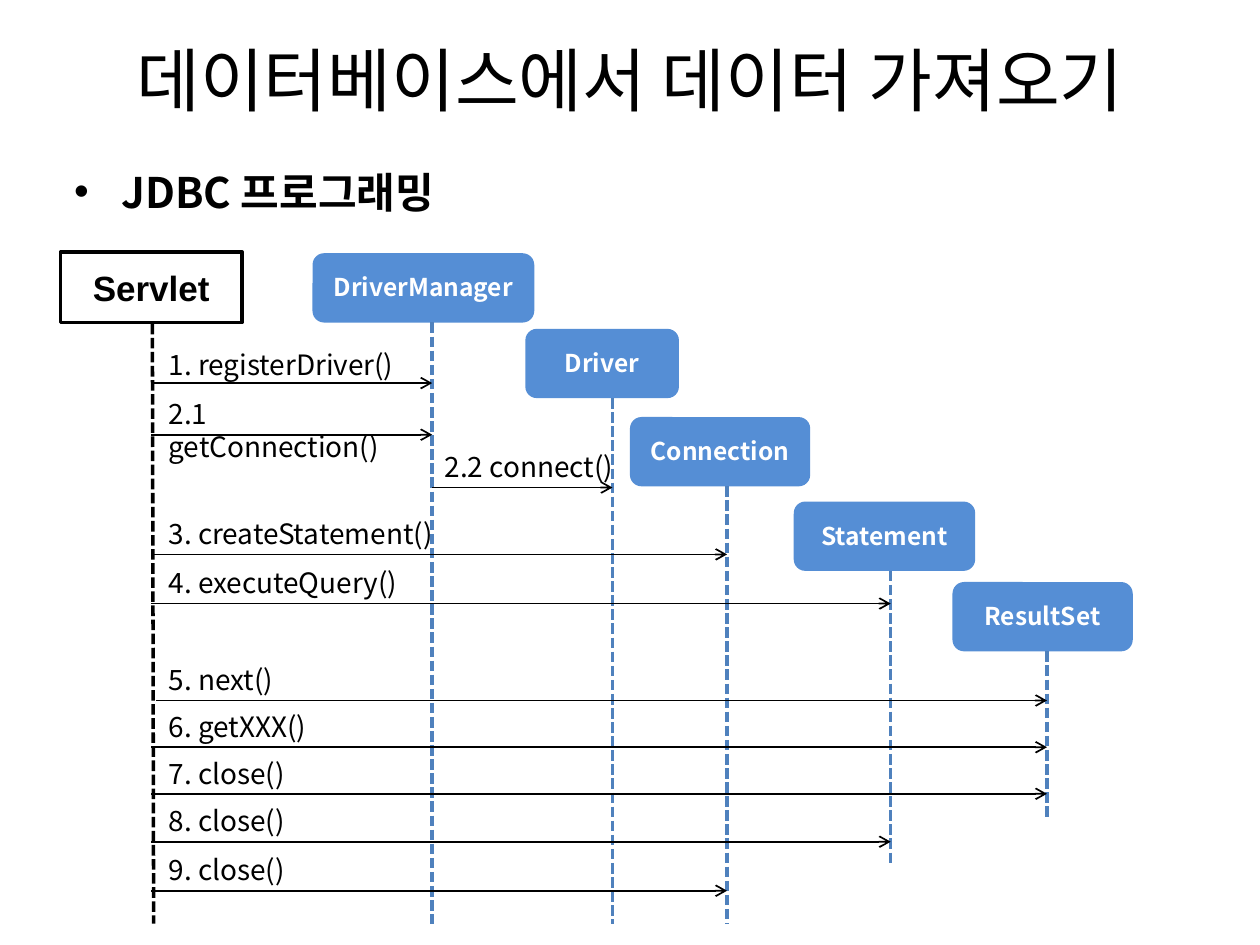
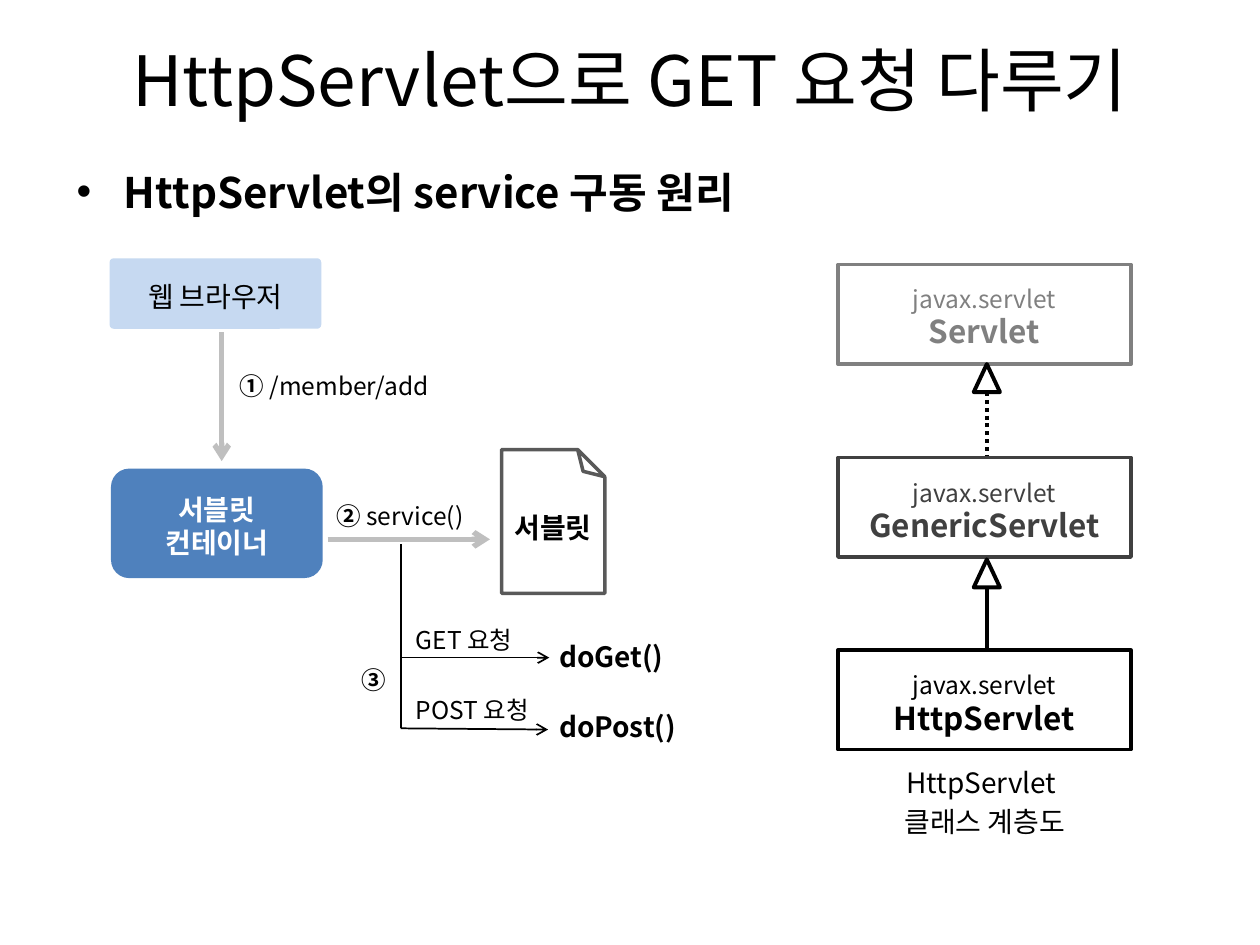
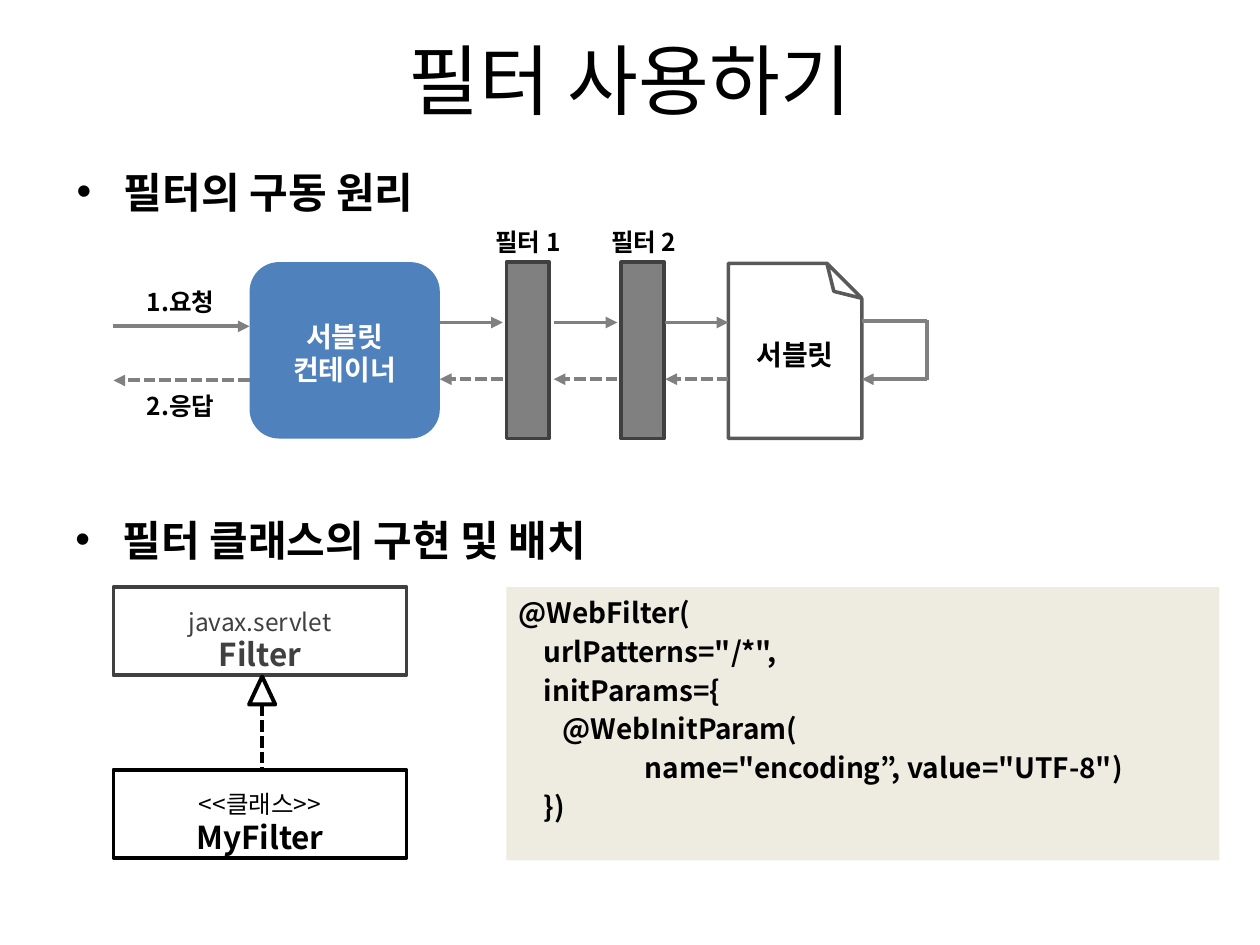
from lxml import etree
from pptx import Presentation
from pptx.dml.color import RGBColor
from pptx.enum.dml import MSO_LINE
from pptx.enum.shapes import MSO_CONNECTOR, MSO_SHAPE
from pptx.enum.text import MSO_ANCHOR, MSO_AUTO_SIZE, PP_ALIGN
from pptx.oxml.ns import qn
from pptx.util import Pt

RECT, ROUND = MSO_SHAPE.RECTANGLE, MSO_SHAPE.ROUNDED_RECTANGLE
TRIANGLE, FOLDED = MSO_SHAPE.ISOSCELES_TRIANGLE, MSO_SHAPE.FOLDED_CORNER
DASH, DOT = MSO_LINE.SQUARE_DOT, MSO_LINE.ROUND_DOT
STRAIGHT = MSO_CONNECTOR.STRAIGHT
LEFT, CENTER = PP_ALIGN.LEFT, PP_ALIGN.CENTER
TOP, MIDDLE = MSO_ANCHOR.TOP, MSO_ANCHOR.MIDDLE

FONT = "Noto Sans CJK KR"
BLACK, WHITE = "000000", "FFFFFF"
BLUE, SKY, PALE, SAND = "4F81BD", "558ED5", "C6D9F1", "EEECE1"
DARK, SLATE, GRAY, SILVER = "404040", "595959", "808080", "BFBFBF"
LINE_HEIGHT, DROP = 1.18, 0.11
rgb = RGBColor.from_string


def add_box(page, at, paras=(), kind=None, fill=None, line=None, weight=2,
            color=BLACK, align=LEFT, anchor=TOP, left=7.2, lift=0):
    place = [Pt(length) for length in at]
    if kind is None:
        box = page.shapes.add_textbox(*place)
    else:
        box = page.shapes.add_shape(kind, *place)
        box.shadow.inherit = False
        if fill:
            box.fill.solid()
            box.fill.fore_color.rgb = rgb(fill)
        else:
            box.fill.background()
        if line:
            box.line.color.rgb = rgb(line)
            box.line.width = Pt(weight)
        else:
            box.line.fill.background()
    if not paras:
        return box
    frame = box.text_frame
    frame.word_wrap = True
    frame.vertical_anchor = anchor
    frame.margin_left = Pt(left)
    first_size = paras[0][0][1]
    if anchor == MIDDLE:
        frame.margin_top = Pt(2 * DROP * first_size - 2 * lift)
        frame.margin_bottom = 0
    else:
        frame.margin_top = Pt(3.6 + DROP * first_size)
    for number, spans in enumerate(paras):
        para = frame.add_paragraph() if number else frame.paragraphs[0]
        para.alignment = align
        para.line_spacing = Pt(LINE_HEIGHT * spans[0][1])
        for text, size, bold in spans:
            span = para.add_run()
            span.text = text
            span.font.size = Pt(size)
            span.font.bold = bold
            span.font.color.rgb = rgb(color)
    return box


def add_line(page, x1, y1, x2, y2, color, weight, dash=None, head=None):
    connector = page.shapes.add_connector(STRAIGHT, Pt(x1), Pt(y1), Pt(x2), Pt(y2))
    connector.line.color.rgb = rgb(color)
    connector.line.width = Pt(weight)
    if dash:
        connector.line.dash_style = dash
    properties = connector._element.spPr
    if head:
        etree.SubElement(properties.find(qn("a:ln")), qn("a:tailEnd"), type=head)
    etree.SubElement(properties, qn("a:effectLst"))


deck = Presentation()
deck.slide_width, deck.slide_height = Pt(720), Pt(540)
pages = []
for text, size in [("데이터베이스에서 데이터 가져오기", 39.6),
                   ("HttpServlet으로 GET 요청 다루기", 39.6),
                   ("필터 사용하기", 44)]:
    page = deck.slides.add_slide(deck.slide_layouts[5])
    title = page.shapes.title
    title.left, title.top, title.width, title.height = Pt(36), 0, Pt(648), Pt(90)
    title.text_frame.auto_size = MSO_AUTO_SIZE.NONE
    title.text_frame.vertical_anchor = MIDDLE
    para = title.text_frame.paragraphs[0]
    para.alignment = CENTER
    span = para.add_run()
    span.text = text
    span.font.size = Pt(size)
    span.font.color.rgb = rgb(BLACK)
    pages.append(page)
jdbc, servlet, filters = pages

for page, left, top, width, text in [
        (jdbc, 35.3, 89.3, 648, "JDBC 프로그래밍"),
        (servlet, 36.7, 89.3, 635, "HttpServlet의 service 구동 원리"),
        (filters, 36.7, 89.3, 635, "필터의 구동 원리"),
        (filters, 36, 288, 364.3, "필터 클래스의 구현 및 배치")]:
    box = add_box(page, (left, top, width, 47.5), [[(text, 24, True)]])
    properties = box.text_frame.paragraphs[0]._p.get_or_add_pPr()
    properties.set("marL", str(Pt(27)))
    properties.set("indent", str(Pt(-27)))
    etree.SubElement(properties, qn("a:buFont"), typeface="Arial")
    etree.SubElement(properties, qn("a:buChar"), char="•")

MANAGER, DRIVER, CONNECTION, STATEMENT, RESULT = 247, 350, 415.5, 509, 598.3
CALLER = 86.4
for name, left, top, width, x, end in [
        ("DriverManager", 178.6, 144.7, 126.7, MANAGER, 527.8),
        ("Driver", 300.2, 187.9, 87.8, DRIVER, 527.8),
        ("Connection", 360, 238.3, 103, CONNECTION, 527.8),
        ("Statement", 453.6, 286.6, 103.7, STATEMENT, 493.9),
        ("ResultSet", 544.3, 332.6, 103, RESULT, 468.7)]:
    add_box(jdbc, (left, top, width, 39.6), [[(name, 14, True)]], ROUND, SKY,
            color=WHITE, align=CENTER, anchor=MIDDLE, lift=1.8)
    add_line(jdbc, x, top + 39.6, x, end, BLUE, 2, DASH)
box = add_box(jdbc, (34.6, 144, 103.7, 40.3), [[("Servlet", 20, True)]], RECT,
              line=BLACK, align=CENTER, anchor=MIDDLE, lift=1.8)
box.text_frame.paragraphs[0].runs[0].font.name = "Arial"
add_line(jdbc, 87.1, 185, 87.8, 527.8, BLACK, 2, DASH)

for text, left, top, width, start, end, y in [
        ("1. registerDriver()", 89.3, 193.7, 149, CALLER, MANAGER, 218.9),
        ("2.1 getConnection()", 89.3, 221.8, 157.7, CALLER, MANAGER, 248.4),
        ("2.2 connect()", 247, 252, 121, MANAGER, DRIVER, 278.6),
        ("3. createStatement()", 89.3, 290.2, 308.2, CALLER, CONNECTION, 316.8),
        ("4. executeQuery()", 89.3, 318.2, 414.7, CALLER, STATEMENT, 344.9),
        ("5. next()", 89.3, 373.7, 157.7, 89.3, RESULT, 400.3),
        ("6. getXXX()", 89.3, 400.3, 154.8, CALLER, RESULT, 427),
        ("7. close()", 89.3, 427, 154.8, CALLER, RESULT, 453.6),
        ("8. close()", 89.3, 454.3, 155.5, CALLER, STATEMENT, 481),
        ("9. close()", 89.3, 482.4, 155.5, CALLER, CONNECTION, 509)]:
    add_box(jdbc, (left, top, width, 26.6), [[(text, 16, False)]])
    add_line(jdbc, start, y, end, y, BLACK, 1, head="arrow")

box = add_box(servlet, (62.6, 147.6, 121, 40.3), [[("웹 브라우저", 16, False)]], ROUND,
              PALE, align=CENTER, anchor=MIDDLE)
box.adjustments[0] = 0.06
for page, at in [(servlet, (63.4, 267.8, 121, 62.6)), (filters, (142.6, 149.8, 108.7, 100.8))]:
    add_box(page, at, [[("서블릿", 16, True)], [("컨테이너", 16, True)]], ROUND, BLUE,
            color=WHITE, align=CENTER, anchor=MIDDLE)
for page, at, label_top in [(servlet, (286.6, 257, 59, 82.1), 286.6),
                            (filters, (416.2, 150.5, 76.3, 100.1), 187.9)]:
    box = add_box(page, at, kind=FOLDED, line=SLATE)
    properties = box._element.spPr
    properties.find(qn("a:xfrm")).set("flipV", "1")
    geometry = properties.find(qn("a:prstGeom"))
    for guides in geometry.findall(qn("a:avLst")):
        geometry.remove(guides)
    guides = etree.SubElement(geometry, qn("a:avLst"))
    etree.SubElement(guides, qn("a:gd"), name="adj", fmla="val 26200")
    add_box(page, (at[0] - 6, label_top, at[2] + 12, 26.6), [[("서블릿", 16, True)]],
            align=CENTER)

for spans, left, top, width in [
        ([("① ", 14, True), ("/member/add", 14, False)], 128.2, 207.4, 131.8),
        ([("② ", 14, True), ("service()", 14, False)], 183.6, 281.5, 90),
        ([("③", 14, True)], 198, 375.1, 29.5),
        ([("GET 요청", 14, False)], 229, 352.1, 90),
        ([("POST 요청", 14, False)], 229, 392.4, 90),
        ([("doGet()", 16, True)], 311, 360.7, 168.5),
        ([("doPost()", 16, True)], 311, 400.3, 168.5)]:
    add_box(servlet, (left, top, width, 25), [spans], left=8.6)
for x1, y1, x2, y2, color, weight, head in [
        (126.7, 190, 126.7, 263.5, SILVER, 3, "arrow"),
        (187.2, 308.2, 280, 308.2, SILVER, 3, "arrow"),
        (229, 311, 229, 416.2, BLACK, 1, None),
        (229, 375.8, 313.9, 375.8, BLACK, 1, "arrow"),
        (229, 416.2, 313.2, 416.9, BLACK, 1, "arrow")]:
    add_line(servlet, x1, y1, x2, y2, color, weight, head=head)

for page, left, top, height, color, upper, name, lift in [
        (servlet, 478.8, 151.2, 56.9, GRAY, "javax.servlet", "Servlet", 0),
        (servlet, 478.8, 261.4, 56.9, DARK, "javax.servlet", "GenericServlet", -0.7),
        (servlet, 478.8, 371.5, 56.9, BLACK, "javax.servlet", "HttpServlet", -0.7),
        (filters, 64.8, 335.5, 50.4, DARK, "javax.servlet", "Filter", -3.6),
        (filters, 64.8, 439.9, 50.4, BLACK, "<<클래스>>", "MyFilter", -3.6)]:
    add_box(page, (left, top, 167.5, height), [[(upper, 14, False)], [(name, 18, True)]],
            RECT, line=color, color=color, align=CENTER, anchor=MIDDLE, lift=lift)
for page, x, top, dash in [(servlet, 563.9, 208.1, DOT), (servlet, 563.9, 319.7, None),
                           (filters, 149.8, 386.6, DASH)]:
    add_box(page, (x - 7.5, top, 15, 16), kind=TRIANGLE, line=BLACK, weight=2.25)
    add_line(page, x, top + 16, x, top + 52.2, BLACK, 2.25, dash)
box = add_box(servlet, (478.8, 432.7, 167.8, 47.5),
              [[("HttpServlet ", 16, False)], [("클래스 계층도", 16, False)]], align=CENTER)
box.text_frame.paragraphs[1].space_before = Pt(3.2)

for left in (289.4, 355):
    add_box(filters, (left, 149.8, 24.5, 100.8), kind=RECT, fill=GRAY, line=DARK)
for text, left, top, width in [("필터 1", 266.4, 124.6, 70.6), ("필터 2", 336.2, 124.6, 63.4),
                               ("1.요청", 64.8, 159.1, 77), ("2.응답", 64.8, 218.9, 77)]:
    add_box(filters, (left, top, width, 24.5), [[(text, 14, True)]], align=CENTER)
for start, end, out_y, back_y in [(64.8, 142.6, 186.5, 217.4), (251.3, 287.3, 184.3, 216.7),
                                  (316.4, 352.8, 184.3, 216.7), (380.2, 416.2, 184.3, 216.7)]:
    add_line(filters, start, out_y, end, out_y, GRAY, 2.25, head="triangle")
    add_line(filters, end, back_y, start, back_y, GRAY, 2.25, DASH, "triangle")
add_line(filters, 492.5, 183.6, 529.9, 183.6, GRAY, 2.25)
add_line(filters, 529.9, 182.9, 529.9, 217.4, GRAY, 2.25)
add_line(filters, 529.9, 216.7, 492.5, 216.7, GRAY, 2.25, head="triangle")

code = [("@WebFilter(", 0), ('urlPatterns="/*",', 14.4), ("initParams={", 14.4),
        ("@WebInitParam(", 25.2), ('name="encoding”, value="UTF-8")', 72), ("})", 14.4)]
box = add_box(filters, (289.4, 335.5, 407.5, 156.2), [[(text, 16, True)] for text, indent in code],
              RECT, SAND)
for para, (text, indent) in zip(box.text_frame.paragraphs, code):
    para._p.get_or_add_pPr().set("marL", str(Pt(indent)))
    if indent:
        para.space_before = Pt(3.2)

for page in pages:
    for shape in page.shapes:
        if shape.has_text_frame:
            for para in shape.text_frame.paragraphs:
                for span in para.runs:
                    span.font.name = span.font.name or FONT
                    etree.SubElement(span._r.get_or_add_rPr(), qn("a:ea"), typeface=FONT)

deck.save("out.pptx")
